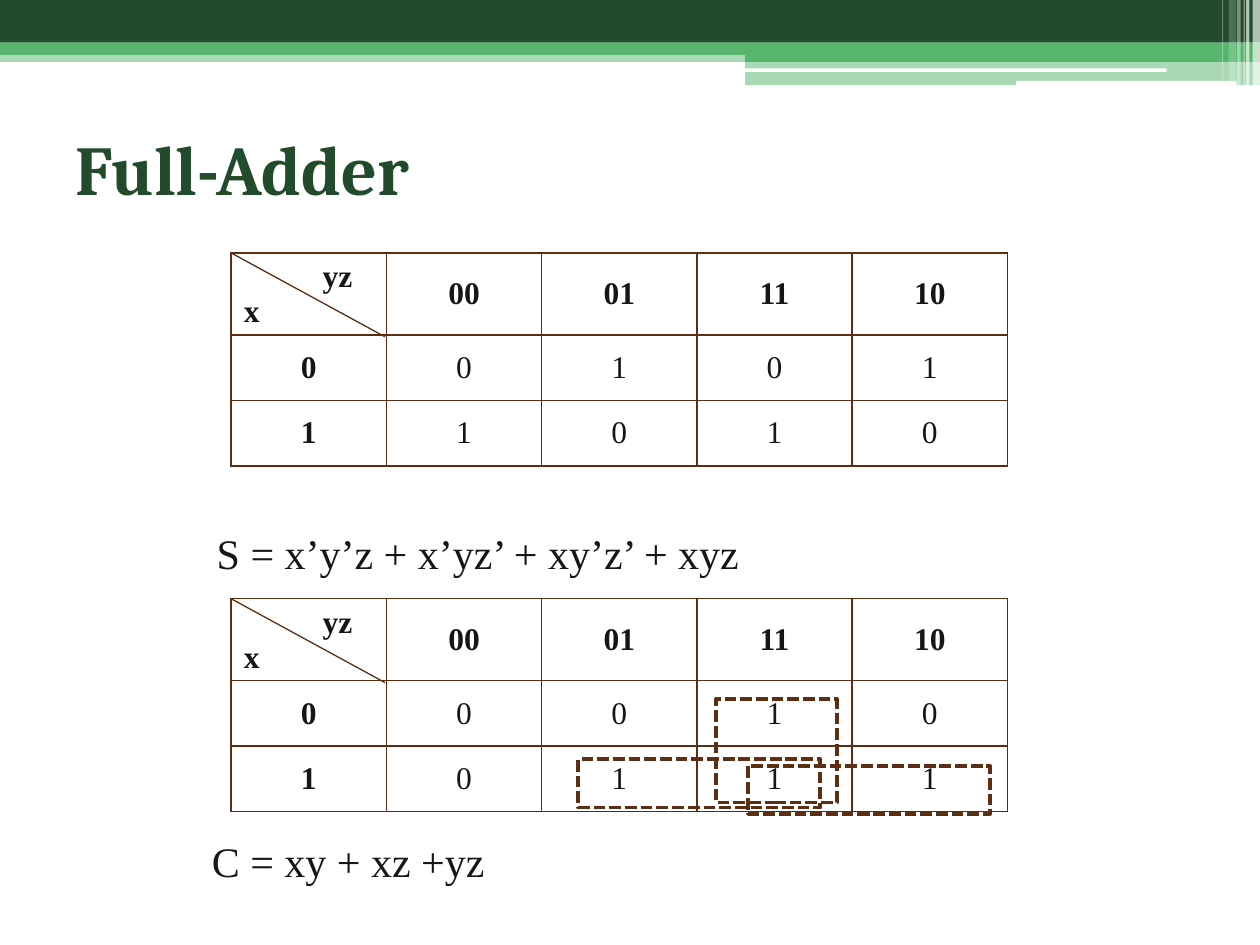
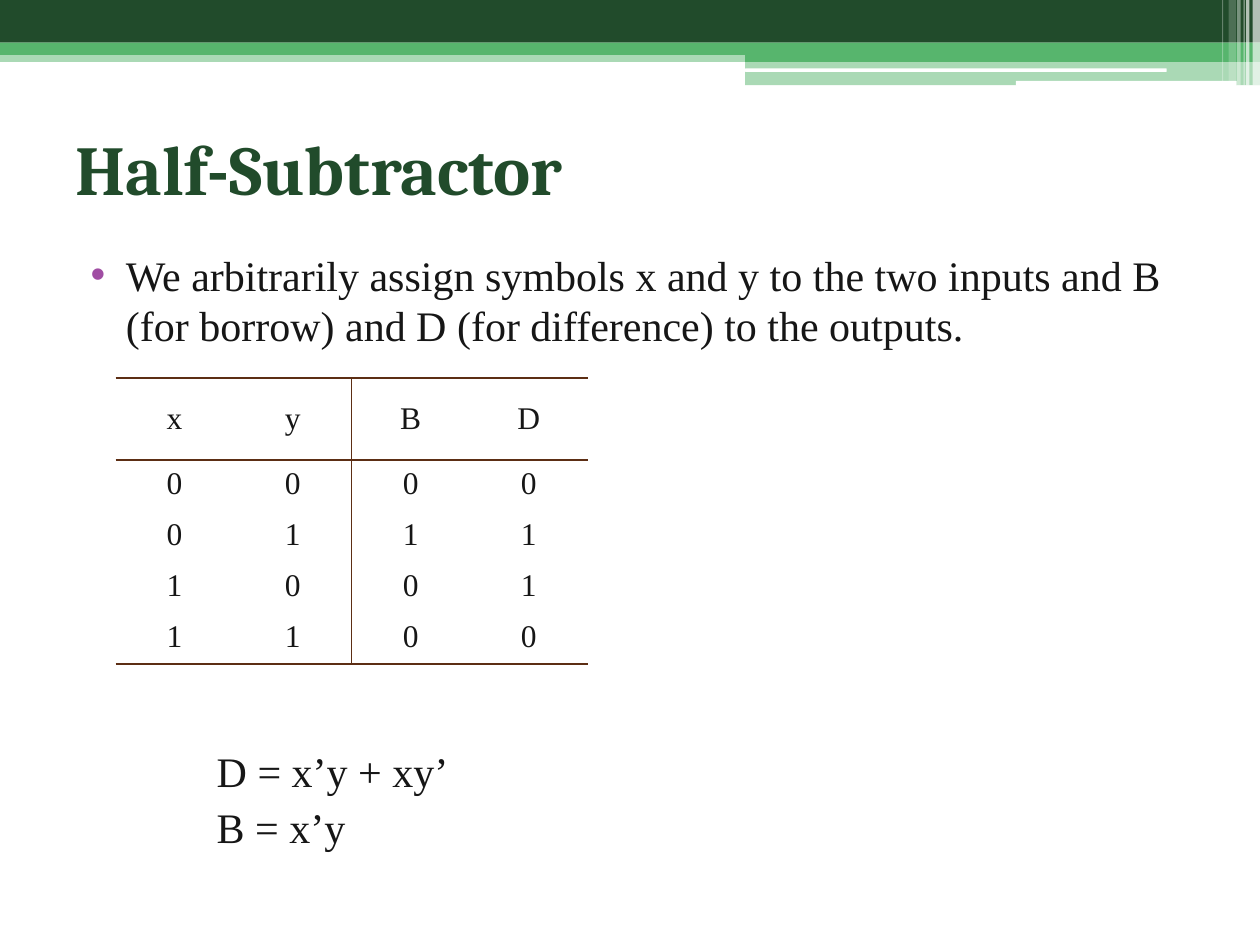
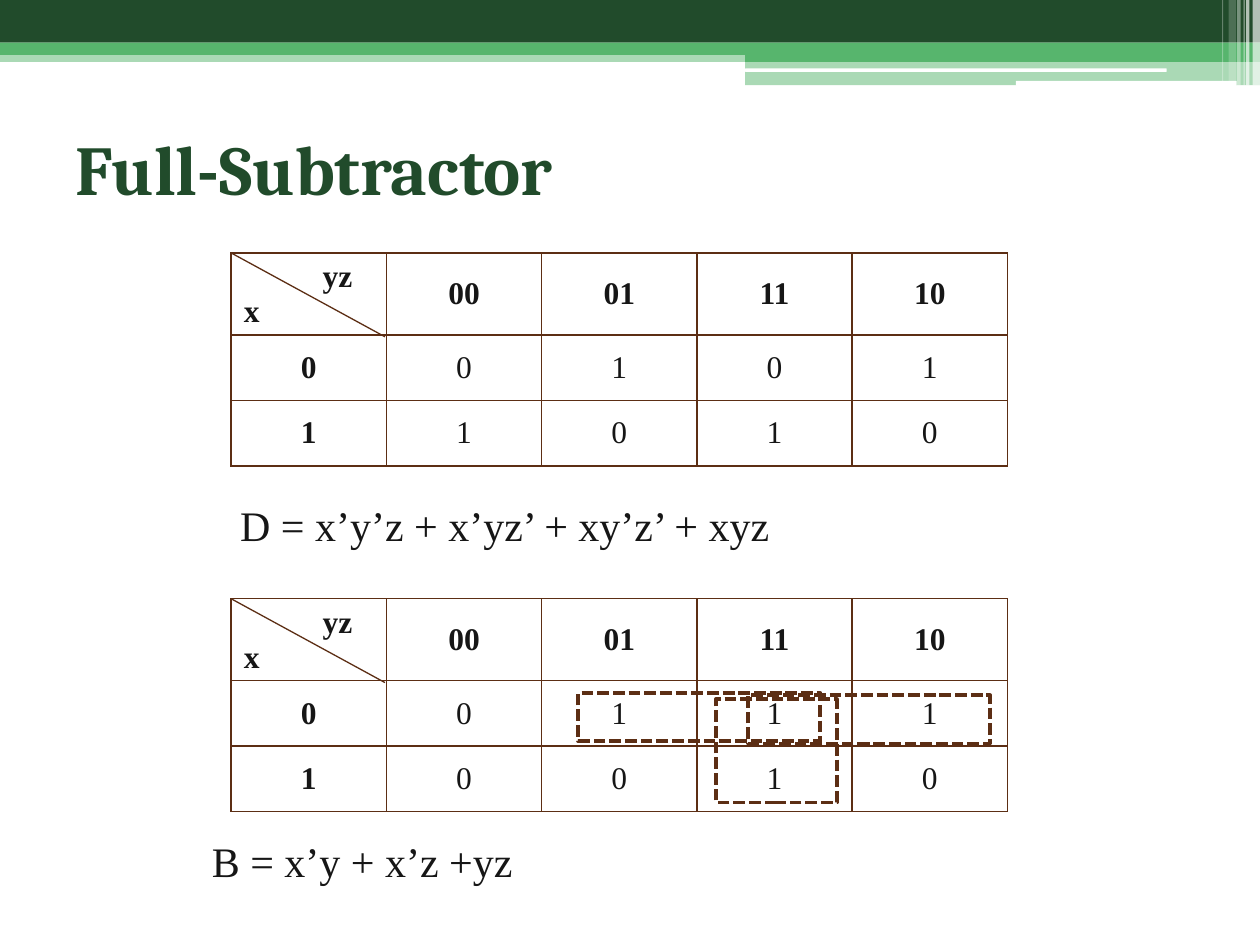
from dataclasses import dataclass
from typing import Any

from lxml.etree import SubElement
from pptx import Presentation
from pptx.dml.color import RGBColor
from pptx.enum.dml import MSO_LINE_DASH_STYLE as Dash
from pptx.enum.shapes import MSO_CONNECTOR_TYPE as Link
from pptx.enum.shapes import MSO_AUTO_SHAPE_TYPE as Preset
from pptx.enum.text import MSO_VERTICAL_ANCHOR as Anchor
from pptx.enum.text import PP_PARAGRAPH_ALIGNMENT as Align
from pptx.oxml.ns import qn
from pptx.slide import Slide
from pptx.util import Cm, Pt

COLORS = {
    "forest": "214B2B",
    "leaf": "57B56D",
    "white": "FFFFFF",
    "ink": "161616",
    "brown": "5C2E14",
    "bullet": "A04DA3",
}
SERIF = "Times New Roman"
TITLE_FONT = {"name": "Cambria", "size": Pt(40), "bold": True}
BODY_FONT = {"name": SERIF, "size": Pt(24)}
CELL_FONT = {"name": SERIF, "size": Pt(18), "bold": False}
HEAD_FONT = {**CELL_FONT, "bold": True}
ALL_SIDES = "LRTB"
MAP_LEFT = 4.66
MAP_COLUMN = 3.13
MAP_ROWS = (1.65, 1.32, 1.32)
MAP_HEADS = ("00", "01", "11", "10")


@dataclass(frozen=True)
class Area:
    left: float
    top: float
    width: float
    height: float

    def lengths(self) -> tuple[Cm, Cm, Cm, Cm]:
        return Cm(self.left), Cm(self.top), Cm(self.width), Cm(self.height)


@dataclass(frozen=True)
class Band:
    area: Area
    color: str
    opacity: int = 100
    preset: Preset = Preset.RECTANGLE


@dataclass(frozen=True)
class Formula:
    area: Area
    lines: tuple[str, ...]


@dataclass(frozen=True)
class KarnaughMap:
    top: float
    values: tuple[str, str]
    groups: tuple[Area, ...] = ()


@dataclass(frozen=True)
class MapPage:
    title: str
    maps: tuple[KarnaughMap, ...]
    formulas: tuple[Formula, ...]


BANDS = (
    Band(Area(0, 1.02, 25.4, 0.23), "leaf", 50),
    Band(Area(0, 0, 25.4, 0.86), "forest"),
    Band(Area(0, 0.86, 25.4, 0.25), "leaf"),
    Band(Area(15.02, 0.99, 10.38, 0.26), "leaf"),
    Band(Area(15.02, 1.25, 10.38, 0.47), "leaf", 50),
    Band(Area(15.02, 1.38, 8.5, 0.07), "white", 100, Preset.ROUNDED_RECTANGLE),
    Band(Area(20.48, 1.63, 4.45, 0.1), "white", 100, Preset.ROUNDED_RECTANGLE),
    Band(Area(25.25, 0, 0.15, 1.73), "white", 65),
    Band(Area(25.12, 0, 0.07, 1.73), "white", 65),
    Band(Area(25.07, 0, 0.02, 1.73), "white", 60),
    Band(Area(24.94, 0, 0.07, 1.73), "white", 40),
    Band(Area(24.77, 0, 0.15, 1.63), "white", 20),
    Band(Area(24.64, 0, 0.02, 1.63), "white", 30),
)
COLUMN_GROUP = Area(14.43, 14.1, 2.44, 2.08)
SUM_VALUES = ("0101", "1010")
MAP_PAGES = {
    "adder": MapPage(
        "Full-Adder",
        (
            KarnaughMap(5.1, SUM_VALUES),
            KarnaughMap(12.07, ("0010", "0111"), (
                Area(15.08, 15.44, 4.88, 0.97),
                Area(11.66, 15.31, 4.88, 0.97),
                COLUMN_GROUP,
            )),
        ),
        (
            Formula(Area(4.12, 10.5, 11.3, 1.27), ("S = x’y’z + x’yz’ + xy’z’ + xyz",)),
            Formula(Area(4.02, 16.71, 6.2, 1.27), ("C = xy + xz +yz",)),
        ),
    ),
    "subtractor": MapPage(
        "Full-Subtractor",
        (
            KarnaughMap(5.1, SUM_VALUES),
            KarnaughMap(12.07, ("0111", "0010"), (
                Area(15.08, 14.02, 4.88, 0.97),
                Area(11.66, 13.97, 4.88, 0.97),
                COLUMN_GROUP,
            )),
        ),
        (
            Formula(Area(4.02, 16.71, 6.63, 1.27), ("B = x’y + x’z +yz",)),
            Formula(Area(4.59, 9.95, 11.3, 1.27), ("D = x’y’z + x’yz’ + xy’z’ + xyz",)),
        ),
    ),
}


def rgb(color: str) -> RGBColor:
    return RGBColor.from_string(COLORS[color])


def apply_format(target: Any, values: dict[str, Any]) -> None:
    for name, value in values.items():
        setattr(target, name, value)


def add_span(para: Any, text: str, font: dict[str, Any], color: str = "ink") -> None:
    span = para.add_run()
    span.text = text
    apply_format(span.font, font)
    span.font.color.rgb = rgb(color)


def add_band(page: Slide, band: Band) -> None:
    shape = page.shapes.add_shape(band.preset, *band.area.lengths())
    shape.shadow.inherit = False
    shape.fill.solid()
    shape.fill.fore_color.rgb = rgb(band.color)
    shape.line.fill.background()
    if band.opacity < 100:
        tint = shape.fill._xPr.find(qn("a:solidFill"))[0]
        SubElement(tint, qn("a:alpha"), val=str(band.opacity * 1000))


def add_page(deck: Any, title: str) -> Slide:
    page = deck.slides.add_slide(deck.slide_layouts[6])
    for band in BANDS:
        add_band(page, band)
    box = page.shapes.add_textbox(*Area(1.27, 1.89, 22.86, 2.97).lengths())
    apply_format(box.text_frame, {"word_wrap": True, "vertical_anchor": Anchor.MIDDLE})
    add_span(box.text_frame.paragraphs[0], title, TITLE_FONT, "forest")
    return page


def add_formula(page: Slide, formula: Formula) -> None:
    frame = page.shapes.add_textbox(*formula.area.lengths()).text_frame
    frame.word_wrap = True
    for index, line in enumerate(formula.lines):
        para = frame.add_paragraph() if index else frame.paragraphs[0]
        if index:
            para.space_before = Pt(3)
        add_span(para, line, BODY_FONT)


def add_bullet(page: Slide, text: str) -> None:
    frame = page.shapes.add_textbox(*Area(1.27, 4.9, 22.86, 2.3).lengths()).text_frame
    frame.word_wrap = True
    para = frame.paragraphs[0]
    add_span(para, text, BODY_FONT)
    props = para._p.get_or_add_pPr()
    props.set("marL", str(Cm(1.02)))
    props.set("indent", str(-Cm(0.71)))
    SubElement(SubElement(props, qn("a:buClr")), qn("a:srgbClr"), val=COLORS["bullet"])
    SubElement(props, qn("a:buFont"), typeface="Arial")
    SubElement(props, qn("a:buChar"), char="•")


def set_borders(cell: Any, sides: str) -> None:
    props = cell._tc.get_or_add_tcPr()
    for side in ALL_SIDES:
        line = SubElement(props, qn(f"a:ln{side}"), w=str(Pt(1)))
        if side in sides:
            paint = SubElement(line, qn("a:solidFill"))
            SubElement(paint, qn("a:srgbClr"), val=COLORS["brown"])
        else:
            SubElement(line, qn("a:noFill"))
    cell.fill.background()


def add_grid(page: Slide, left: float, top: float, column: float,
             heights: tuple[float, ...], columns: int) -> Any:
    area = Area(left, top, column * columns, sum(heights))
    table = page.shapes.add_table(len(heights), columns, *area.lengths()).table
    apply_format(table, {"first_row": False, "horz_banding": False})
    for track in table.columns:
        track.width = Cm(column)
    for track, height in zip(table.rows, heights):
        track.height = Cm(height)
    return table


def fill_cell(cell: Any, text: str, font: dict[str, Any], sides: str,
              anchor: Anchor = Anchor.MIDDLE) -> None:
    cell.vertical_anchor = anchor
    para = cell.text_frame.paragraphs[0]
    para.alignment = Align.CENTER
    add_span(para, text, font)
    set_borders(cell, sides)


def fill_corner(cell: Any) -> None:
    apply_format(cell, {"margin_right": Cm(0.69), "margin_bottom": 0})
    frame = cell.text_frame
    frame.paragraphs[0].alignment = Align.RIGHT
    add_span(frame.paragraphs[0], "yz", HEAD_FONT)
    add_span(frame.add_paragraph(), "x", HEAD_FONT)
    set_borders(cell, ALL_SIDES)


def add_diagonal(page: Slide, top: float) -> None:
    line = page.shapes.add_connector(
        Link.STRAIGHT, Cm(MAP_LEFT), Cm(top), Cm(MAP_LEFT + 3.1), Cm(top + 1.69))
    line.line.color.rgb = rgb("brown")
    line.line.width = Pt(0.75)
    SubElement(line._element.spPr, qn("a:effectLst"))


def add_group(page: Slide, area: Area) -> None:
    shape = page.shapes.add_shape(Preset.RECTANGLE, *area.lengths())
    shape.shadow.inherit = False
    shape.fill.background()
    shape.line.color.rgb = rgb("brown")
    apply_format(shape.line, {"width": Pt(2.25), "dash_style": Dash.SQUARE_DOT})


def add_map(page: Slide, chart: KarnaughMap) -> None:
    table = add_grid(page, MAP_LEFT, chart.top, MAP_COLUMN, MAP_ROWS, 5)
    fill_corner(table.cell(0, 0))
    for column, head in enumerate(MAP_HEADS, 1):
        fill_cell(table.cell(0, column), head, HEAD_FONT, ALL_SIDES)
    for row, values in enumerate(chart.values, 1):
        fill_cell(table.cell(row, 0), str(row - 1), HEAD_FONT, ALL_SIDES)
        for column, value in enumerate(values, 1):
            fill_cell(table.cell(row, column), value, CELL_FONT, ALL_SIDES)
    add_diagonal(page, chart.top)


def add_truth_table(page: Slide, rows: tuple[str, ...]) -> None:
    heights = (1.65,) + (1.03,) * (len(rows) - 1)
    table = add_grid(page, 2.33, 7.62, 2.38, heights, 4)
    column_sides = ("", "R", "L", "")
    row_sides = {0: "TB", 1: "T", len(rows) - 1: "B"}
    for row, values in enumerate(rows):
        anchor = Anchor.TOP if row else Anchor.MIDDLE
        for column, value in enumerate(values):
            sides = row_sides.get(row, "") + column_sides[column]
            fill_cell(table.cell(row, column), value, CELL_FONT, sides, anchor)


def add_map_page(deck: Any, content: MapPage) -> None:
    page = add_page(deck, content.title)
    for chart in content.maps:
        add_map(page, chart)
    for formula in content.formulas:
        add_formula(page, formula)
    for chart in content.maps:
        for group in chart.groups:
            add_group(page, group)


def add_half_subtractor(deck: Any) -> None:
    page = add_page(deck, "Half-Subtractor")
    add_bullet(page, "We arbitrarily assign symbols x and y to the two inputs and B "
                     "(for borrow) and D (for difference) to the outputs.")
    add_truth_table(page, ("xyBD", "0000", "0111", "1001", "1100"))
    add_formula(page, Formula(Area(4.12, 14.91, 8, 2.3), ("D = x’y + xy’", "B = x’y")))


def main() -> None:
    deck = Presentation()
    apply_format(deck, {"slide_width": Cm(25.4), "slide_height": Cm(19.05)})
    add_map_page(deck, MAP_PAGES["adder"])
    add_half_subtractor(deck)
    add_map_page(deck, MAP_PAGES["subtractor"])
    deck.save("out.pptx")


if __name__ == "__main__":
    main()
